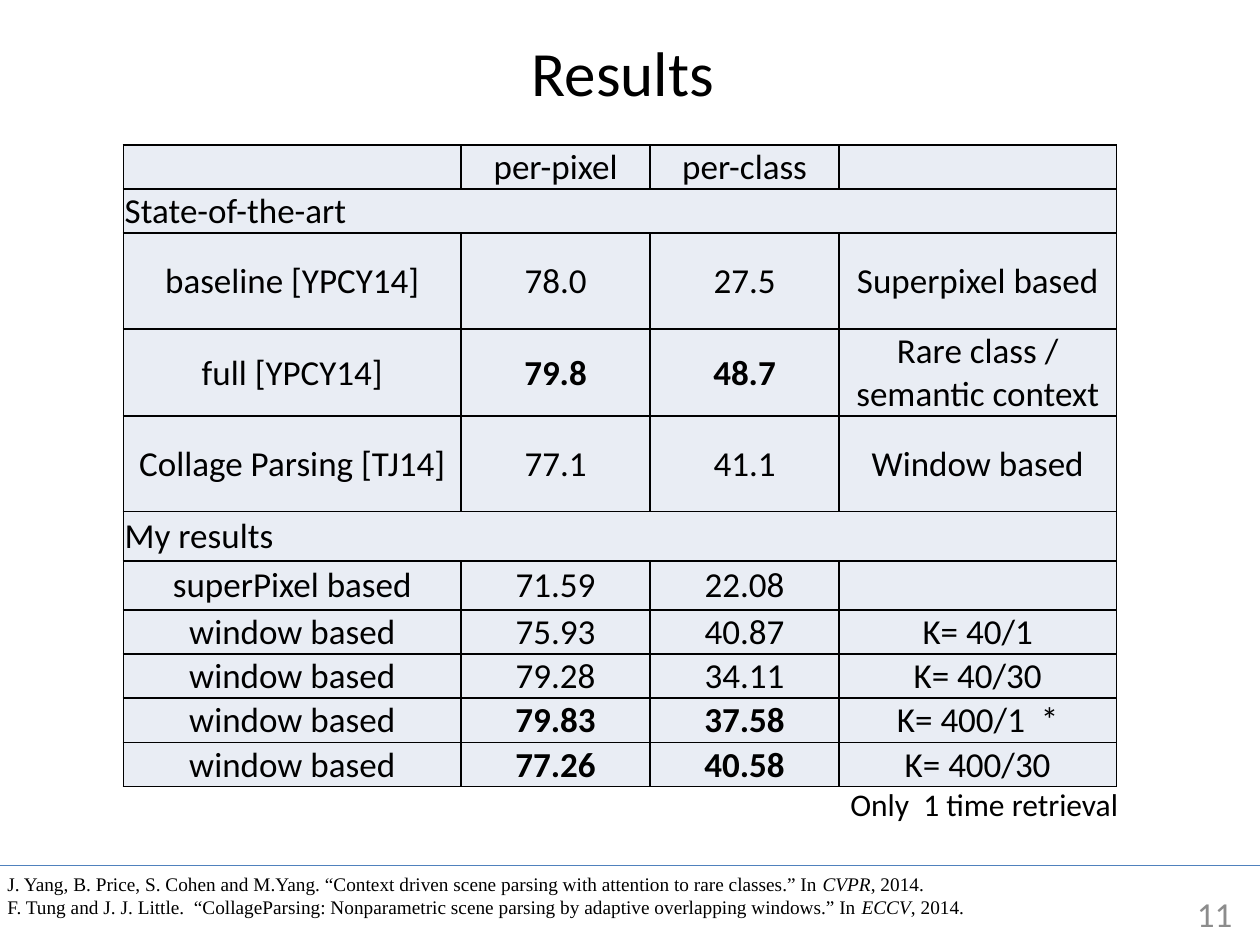
from typing import NamedTuple

from lxml import etree
from pptx import Presentation
from pptx import util as u
from pptx.dml.color import RGBColor
from pptx.enum import shapes, text
from pptx.oxml.ns import qn

COLORS = {"text": "000000", "number": "8C8C8C", "cell": "E9EDF4",
          "border": "000000", "rule": "4F81BD"}
BODY_FONT = "Calibri"
CITE_FONT = "Times New Roman"
COL_WIDTHS = (2.68, 1.5, 1.5, 2.2)


class Row(NamedTuple):
    label: str
    pixel: str = ""
    cls: str = ""
    note: str = ""
    height: float = 0.35
    bold: bool = False
    section: bool = False


class Citation(NamedTuple):
    lead: str
    venue: str
    year: str


ROWS = [
    Row("", "per-pixel", "per-class"),
    Row("State-of-the-art", section=True),
    Row("baseline [YPCY14]", "78.0", "27.5", "Superpixel based", 0.76),
    Row("full [YPCY14]", "79.8", "48.7", "Rare class / semantic context", 0.69, bold=True),
    Row("Collage Parsing [TJ14]", "77.1", "41.1", "Window based", 0.76),
    Row("My results", height=0.39, section=True),
    Row("superPixel based", "71.59", "22.08", height=0.39),
    Row("window based", "75.93", "40.87", "K= 40/1"),
    Row("window based", "79.28", "34.11", "K= 40/30"),
    Row("window based", "79.83", "37.58", "K= 400/1  *", bold=True),
    Row("window based", "77.26", "40.58", "K= 400/30", bold=True),
]

CITATIONS = [
    Citation("J. Yang, B. Price, S. Cohen and M.Yang. “Context driven scene parsing "
             "with attention to rare classes.” In ", "CVPR", ", 2014."),
    Citation("F. Tung and J. J. Little.  “CollageParsing: Nonparametric scene parsing "
             "by adaptive overlapping windows.” In ", "ECCV", ", 2014."),
]


def add_text(p, value: str, size: float = 20, font: str = BODY_FONT, color: str = "text",
             bold: bool = False, italic: bool = False, align=text.PP_ALIGN.LEFT) -> None:
    p.alignment = align
    r = p.add_run()
    r.text = value
    f = r.font
    f.size, f.name, f.bold, f.italic = u.Pt(size), font, bold, italic
    f.color.rgb = RGBColor.from_string(COLORS[color])


def add_borders(cell) -> None:
    tc_pr = cell._tc.get_or_add_tcPr()
    for i, tag in enumerate(("a:lnL", "a:lnR", "a:lnT", "a:lnB")):
        ln = etree.Element(qn(tag), w=str(u.Pt(1)))
        fill = etree.SubElement(ln, qn("a:solidFill"))
        etree.SubElement(fill, qn("a:srgbClr"), val=COLORS["border"])
        tc_pr.insert(i, ln)


def format_cell(cell) -> None:
    cell.fill.solid()
    cell.fill.fore_color.rgb = RGBColor.from_string(COLORS["cell"])
    cell.margin_left = cell.margin_right = cell.margin_top = u.Inches(0.01)
    cell.margin_bottom = 0
    cell.vertical_anchor = text.MSO_ANCHOR.MIDDLE
    add_borders(cell)


def add_results_table(s) -> None:
    frame = s.shapes.add_table(len(ROWS), len(COL_WIDTHS), u.Inches(0.98), u.Inches(1.15),
                               u.Inches(sum(COL_WIDTHS)),
                               u.Inches(sum(row.height for row in ROWS)))
    table = frame.table
    table.first_row = table.horz_banding = False
    for col, width in zip(table.columns, COL_WIDTHS):
        col.width = u.Inches(width)
    for i, row in enumerate(ROWS):
        table.rows[i].height = u.Inches(row.height)
        for j, value in enumerate((row.label, row.pixel, row.cls, row.note)):
            cell = table.cell(i, j)
            format_cell(cell)
            if value:
                add_text(cell.text_frame.paragraphs[0], value, bold=row.bold and j in (1, 2),
                         align=text.PP_ALIGN.LEFT if row.section else text.PP_ALIGN.CENTER)
        if row.section:
            table.cell(i, 0).merge(table.cell(i, len(COL_WIDTHS) - 1))


def add_label(s, value: str, x: float, y: float, w: float, h: float,
              wrap: bool = True, **fmt) -> None:
    tf = s.shapes.add_textbox(u.Inches(x), u.Inches(y), u.Inches(w), u.Inches(h)).text_frame
    tf.word_wrap = wrap
    tf.vertical_anchor = text.MSO_ANCHOR.MIDDLE
    add_text(tf.paragraphs[0], value, **fmt)


def add_citations(s) -> None:
    sp = s.shapes.add_shape(shapes.MSO_SHAPE.RECTANGLE, u.Inches(-0.04), u.Inches(6.87),
                            u.Inches(10.08), u.Inches(0.66))
    sp.shadow.inherit = False
    sp.fill.background()
    sp.line.color.rgb = RGBColor.from_string(COLORS["rule"])
    sp.line.width = u.Pt(0.75)
    tf = sp.text_frame
    tf.word_wrap = True
    tf.vertical_anchor = text.MSO_ANCHOR.TOP
    for i, cite in enumerate(CITATIONS):
        p = tf.add_paragraph() if i else tf.paragraphs[0]
        for part in cite:
            add_text(p, part, size=11, font=CITE_FONT, italic=part == cite.venue)


def add_title(s, value: str) -> None:
    sp = s.shapes.title
    sp.left, sp.top = u.Inches(0.12), u.Inches(0.13)
    sp.width, sp.height = u.Inches(9.76), u.Inches(0.87)
    sp.text_frame.vertical_anchor = text.MSO_ANCHOR.MIDDLE
    add_text(sp.text_frame.paragraphs[0], value, size=36, align=text.PP_ALIGN.CENTER)


def main() -> None:
    prs = Presentation()
    prs.slide_width, prs.slide_height = u.Inches(10), u.Inches(7.5)
    s = prs.slides.add_slide(prs.slide_layouts[5])
    add_title(s, "Results ")
    add_results_table(s)
    add_label(s, "11", 7.55, 7.05, 2.33, 0.4, color="number", align=text.PP_ALIGN.RIGHT)
    add_citations(s)
    add_label(s, "Only  1 time retrieval", 6.65, 6.18, 2.47, 0.4, wrap=False, size=18)
    prs.save("out.pptx")


if __name__ == "__main__":
    main()
